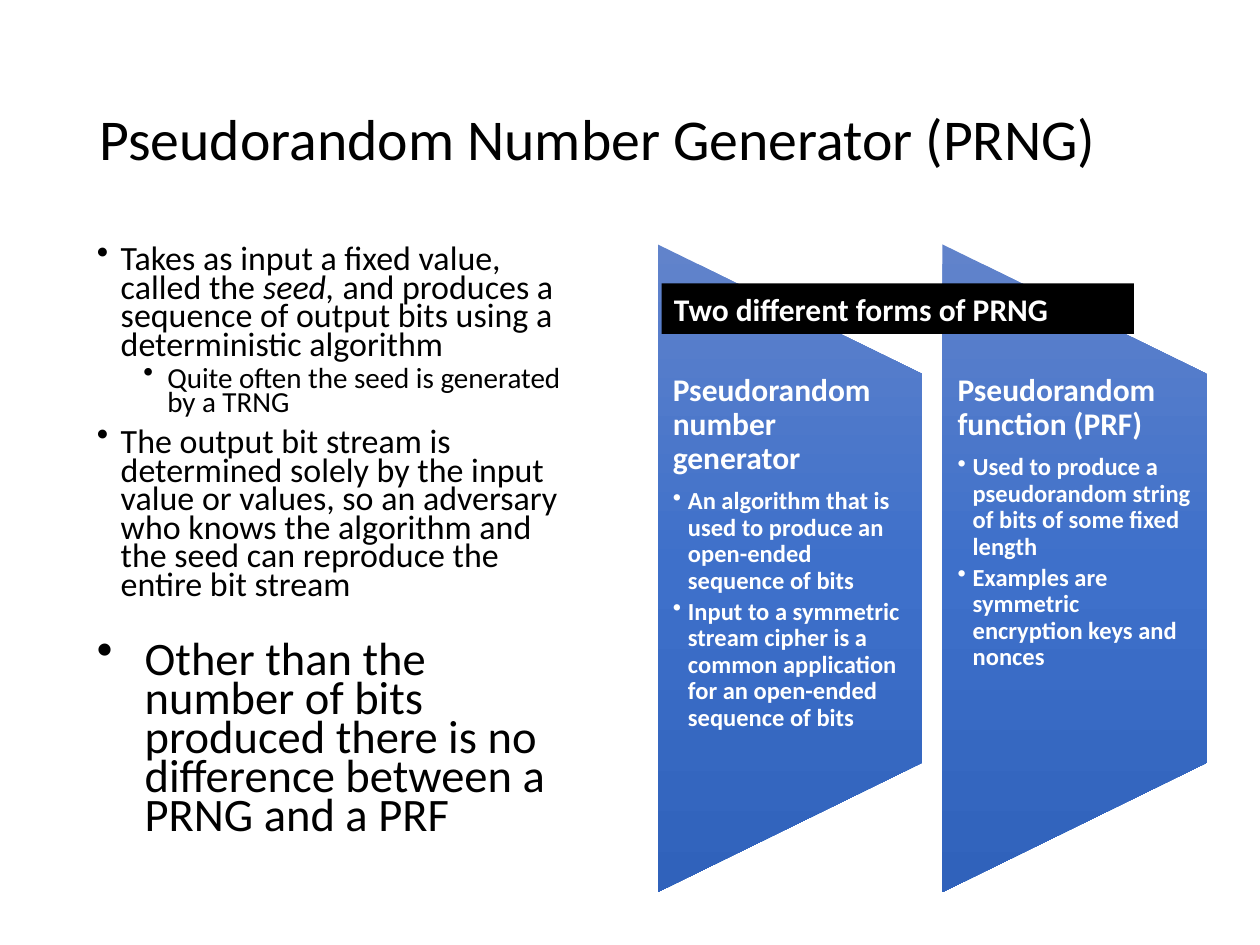
from dataclasses import dataclass

from lxml import etree
from pptx import Presentation
from pptx.dml.color import RGBColor
from pptx.enum.shapes import MSO_SHAPE
from pptx.enum.text import MSO_ANCHOR, PP_ALIGN
from pptx.oxml.ns import qn
from pptx.util import Inches, Pt

PANEL_SHAPE = MSO_SHAPE.FLOWCHART_MANUAL_OPERATION
RECTANGLE = MSO_SHAPE.RECTANGLE
TOP, MIDDLE = MSO_ANCHOR.TOP, MSO_ANCHOR.MIDDLE
LEFT = PP_ALIGN.LEFT


@dataclass(frozen=True)
class Theme:
    """Colours and type sizes of the slide."""

    font: str = "Calibri"
    ink: str = "000000"
    light: str = "FFFFFF"
    gradient: tuple = ((0, "6183CB"), (50, "3E70CA"), (100, "3062BB"))
    title: float = 33
    point: float = 19.4
    detail: float = 16.6
    remark: float = 26.6
    heading: float = 18
    item: float = 14


THEME = Theme()

POINTS = (
    (0, THEME.point, 0.19, 0.19, 0,
     (("Takes as input a fixed value, called the ", False), ("seed, ", True),
      ("and produces a sequence of output bits using a deterministic algorithm", False))),
    (1, THEME.detail, 0.56, 0.19, 3.8,
     (("Quite often the seed is generated by a TRNG", False),)),
    (0, THEME.point, 0.19, 0.19, 7.5,
     (("The output bit stream is determined solely by the input value or values, so an "
       "adversary who knows the algorithm and the seed can reproduce the entire bit stream",
       False),)),
    (2, THEME.remark, 0.38, 0.38, 24,
     (("Other than the number of bits produced there is no difference between a PRNG "
       "and a PRF", False),)),
)

PANELS = (
    ("Pseudorandom number generator",
     ("An algorithm that is used to produce an open-ended sequence of bits",
      "Input to a symmetric stream cipher is a common application for an open-ended "
      "sequence of bits")),
    ("Pseudorandom function (PRF)",
     ("Used to produce a pseudorandom string of bits of some fixed length",
      "Examples are symmetric encryption keys and nonces")),
)


def add_box(page, left, top, width, height, anchor=TOP):
    """Add a wrapping text box and return its text frame."""
    box = page.shapes.add_textbox(Inches(left), Inches(top), Inches(width), Inches(height))
    frame = box.text_frame
    frame.word_wrap = True
    frame.vertical_anchor = anchor
    return frame


def next_para(frame):
    """Return the empty first paragraph, or a new one after it."""
    first = frame.paragraphs[0]
    return frame.add_paragraph() if first.runs else first


def set_bullet(para, indent, hanging):
    """Give a paragraph a round bullet and a hanging indent."""
    properties = para._p.get_or_add_pPr()
    properties.set("marL", str(Inches(indent)))
    properties.set("indent", str(-Inches(hanging)))
    etree.SubElement(properties, qn("a:buChar")).set("char", "•")


def add_span(para, text, size, colour, bold=False, italic=False):
    """Add one formatted run."""
    span = para.add_run()
    span.text = text
    span.font.name = THEME.font
    span.font.size = Pt(size)
    span.font.bold = bold
    span.font.italic = italic
    span.font.color.rgb = RGBColor.from_string(colour)


def add_title(page, text):
    """Add the slide title."""
    para = add_box(page, 0.69, 0.4, 8.62, 1.45, MIDDLE).paragraphs[0]
    para.line_spacing = 0.9
    add_span(para, text, THEME.title, THEME.ink)


def add_points(page):
    """Add the bulleted text on the left."""
    frame = add_box(page, 0.67, 1.92, 3.9, 5)
    for level, size, indent, hanging, before, spans in POINTS:
        para = next_para(frame)
        para.level = level
        set_bullet(para, indent, hanging)
        para.line_spacing = 0.7
        para.space_before = Pt(before)
        for text, italic in spans:
            add_span(para, text, size, THEME.ink, italic=italic)


def fill_gradient(shape):
    """Shade a shape from top to bottom whatever its rotation."""
    shape.fill.gradient()
    shape.fill.gradient_angle = 270
    gradient = shape._element.spPr.find(qn("a:gradFill"))
    gradient.set("rotWithShape", "0")
    stops = gradient.find(qn("a:gsLst"))
    stops.clear()
    for position, colour in THEME.gradient:
        stop = etree.SubElement(stops, qn("a:gs"), pos=str(position * 1000))
        etree.SubElement(stop, qn("a:srgbClr"), val=colour)


def add_panel(page, left, heading, items):
    """Add a tapered panel with a heading and bulleted items."""
    width, length, centre = 2.1, 5.14, 4.51
    panel = page.shapes.add_shape(
        PANEL_SHAPE, Inches(left + (width - length) / 2), Inches(centre - width / 2),
        Inches(length), Inches(width))
    panel.rotation = 270
    panel.shadow.inherit = False
    panel.line.fill.background()
    fill_gradient(panel)

    frame = add_box(page, left, 2.97, width, 3.09)
    frame.margin_left, frame.margin_right = Inches(0.12), Inches(0.13)
    frame.margin_top = frame.margin_bottom = 0
    para = next_para(frame)
    para.line_spacing = 0.9
    para.space_after = Pt(7)
    add_span(para, heading, THEME.heading, THEME.light, bold=True)
    for item in items:
        para = next_para(frame)
        para.level = 1
        set_bullet(para, 0.12, 0.12)
        para.line_spacing = 0.9
        para.space_after = Pt(2.5)
        add_span(para, item, THEME.item, THEME.light, bold=True)


def add_banner(page, text):
    """Add the dark caption bar across the panels."""
    banner = page.shapes.add_shape(
        RECTANGLE, Inches(5.25), Inches(2.25), Inches(3.75), Inches(0.4))
    banner.shadow.inherit = False
    banner.fill.solid()
    banner.fill.fore_color.rgb = RGBColor.from_string(THEME.ink)
    banner.line.fill.background()
    banner.text_frame.word_wrap = True
    banner.text_frame.vertical_anchor = TOP
    para = banner.text_frame.paragraphs[0]
    para.alignment = LEFT
    add_span(para, text, THEME.heading, THEME.light, bold=True)


def main():
    """Build and save the slide."""
    deck = Presentation()
    deck.slide_width, deck.slide_height = Inches(10), Inches(7.5)
    page = deck.slides.add_slide(deck.slide_layouts[6])
    add_title(page, "Pseudorandom Number Generator (PRNG)")
    add_points(page)
    for column, (heading, items) in enumerate(PANELS):
        add_panel(page, 5.22 + 2.26 * column, heading, items)
    add_banner(page, "Two different forms of PRNG")
    deck.save("out.pptx")


if __name__ == "__main__":
    main()
